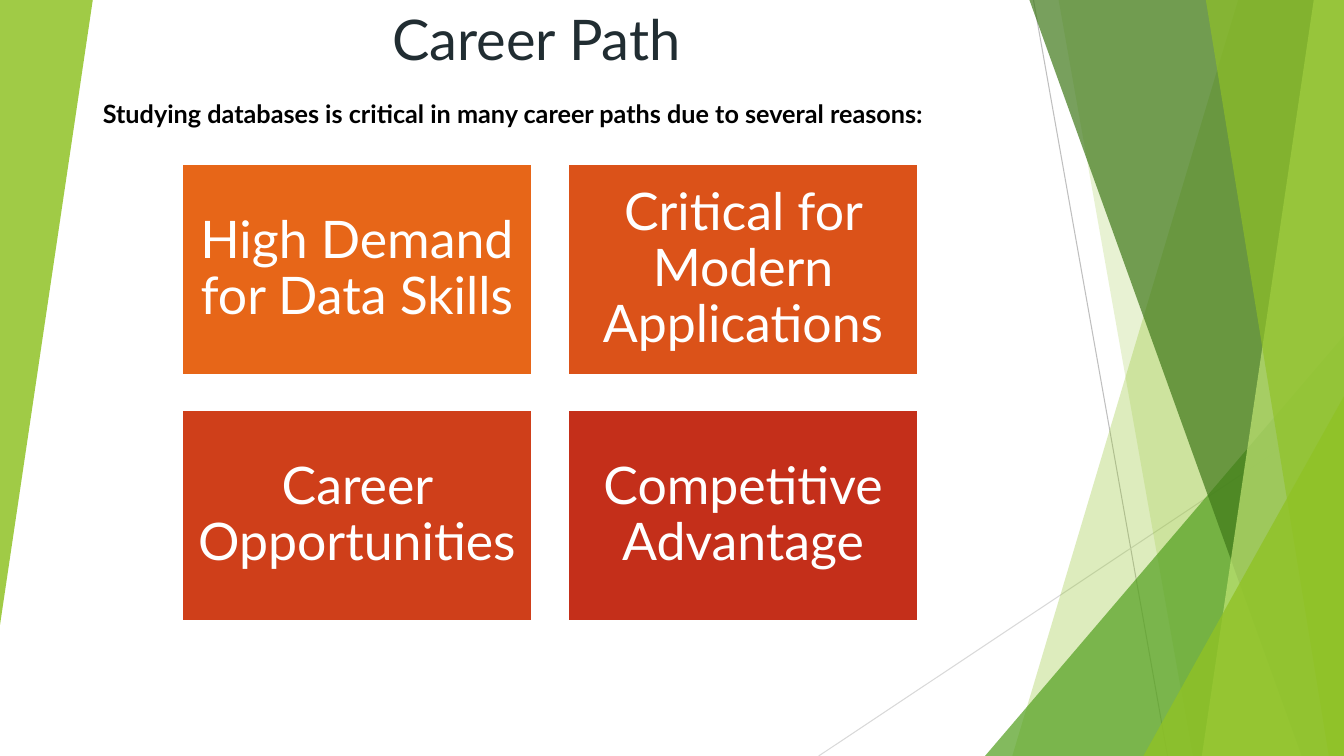
from lxml import etree
from pptx import Presentation
from pptx.dml.color import RGBColor
from pptx.enum.shapes import MSO_CONNECTOR, MSO_SHAPE
from pptx.enum.text import MSO_ANCHOR, MSO_AUTO_SIZE, PP_ALIGN
from pptx.oxml.ns import qn
from pptx.util import Inches, Pt

LEFT, CENTER = PP_ALIGN.LEFT, PP_ALIGN.CENTER
TOP, MIDDLE, BOTTOM = MSO_ANCHOR.TOP, MSO_ANCHOR.MIDDLE, MSO_ANCHOR.BOTTOM
TRIANGLE, RECTANGLE = MSO_SHAPE.ISOSCELES_TRIANGLE, MSO_SHAPE.RECTANGLE

WIDTH, HEIGHT = 13.33, 7.5
FONT = "Lato"
COLORS = {
    "lime": "90C226",
    "green": "54A021",
    "forest": "3F7819",
    "pale": "C0E474",
    "line_dark": "BFBFBF",
    "line_light": "D9D9D9",
    "title": "212D32",
    "black": "000000",
    "white": "FFFFFF",
}

presentation = Presentation()
presentation.slide_width = Inches(WIDTH)
presentation.slide_height = Inches(HEIGHT)
slide = presentation.slides.add_slide(presentation.slide_layouts[0])


def paint(shape, color, opacity):
    shape.shadow.inherit = False
    shape.line.fill.background()
    shape.fill.solid()
    shape.fill.fore_color.rgb = RGBColor.from_string(COLORS[color])
    solid_color = shape.fill._xPr.find(qn("a:solidFill"))[0]
    etree.SubElement(solid_color, qn("a:alpha"), val=str(opacity * 1000))


def write(shape, text, size, color, alignment, anchor, bold=False):
    frame = shape.text_frame
    frame.text = text
    frame.word_wrap = True
    frame.auto_size = MSO_AUTO_SIZE.NONE
    frame.vertical_anchor = anchor
    paragraph = frame.paragraphs[0]
    paragraph.alignment = alignment
    paragraph.space_before = Pt(0)
    font = paragraph.runs[0].font
    font.name, font.size, font.bold = FONT, Pt(size), bold
    font.color.rgb = RGBColor.from_string(COLORS[color])
    return frame


rays = [
    (10.25, 0, 11.58, HEIGHT, "line_dark"),
    (WIDTH, 4.03, 8.12, HEIGHT, "line_light"),
]
for start_x, start_y, end_x, end_y, color in rays:
    ray = slide.shapes.add_connector(
        MSO_CONNECTOR.STRAIGHT,
        Inches(start_x), Inches(start_y), Inches(end_x), Inches(end_y),
    )
    ray.line.color.rgb = RGBColor.from_string(COLORS[color])
    ray.line.width = Pt(0.75)
    etree.SubElement(ray._element.spPr, qn("a:effectLst"))

facets = [
    ("band", 12.28, 10.04, "lime", 30),
    ("band", 10.5, 11.83, "lime", 20),
    ("triangle", 9.77, 3.33, "green", 72),
    ("band", 10.21, 12.91, "forest", 70),
    ("band", 13.03, 11.92, "pale", 70),
    ("band", 11.96, 13.18, "lime", 65),
    ("triangle", 11.34, 3.93, "lime", 80),
]
for kind, first, second, color, opacity in facets:
    if kind == "band":
        outline = slide.shapes.build_freeform(Inches(first), 0)
        outline.add_line_segments([
            (Inches(WIDTH), 0),
            (Inches(WIDTH), Inches(HEIGHT)),
            (Inches(second), Inches(HEIGHT)),
        ])
        facet = outline.convert_to_shape()
    else:
        facet = slide.shapes.add_shape(
            TRIANGLE, Inches(first), Inches(second),
            Inches(WIDTH - first), Inches(HEIGHT - second),
        )
        facet.adjustments[0] = 1
    paint(facet, color, opacity)

left_wedge = slide.shapes.add_shape(TRIANGLE, 0, 0, Inches(0.92), Inches(6.2))
left_wedge.adjustments[0] = 1
left_wedge.rotation = 180
paint(left_wedge, "lime", 85)

title = slide.shapes.title
title.left, title.top = Inches(1.36), Inches(0.1)
title.width, title.height = Inches(7.92), Inches(0.66)
write(title, "Career Path", 40, "title", CENTER, BOTTOM)

introduction = slide.placeholders[1]
introduction.left, introduction.top = Inches(0.92), Inches(0.93)
introduction.width, introduction.height = Inches(9.69), Inches(0.4)
write(
    introduction,
    "Studying databases is critical in many career paths due to several reasons:",
    18, "black", LEFT, TOP, bold=True,
)

reasons = [
    ("High Demand for Data Skills", "E76618"),
    ("Critical for Modern Applications", "DB5219"),
    ("Career Opportunities", "CF3F1A"),
    ("Competitive Advantage", "C42F1A"),
]
CARD_WIDTH, CARD_HEIGHT, GAP = 3.48, 2.09, 0.35
for index, (reason, color) in enumerate(reasons):
    row, column = divmod(index, 2)
    card = slide.shapes.add_shape(
        RECTANGLE,
        Inches(1.8 + column * (CARD_WIDTH + GAP)),
        Inches(1.63 + row * (CARD_HEIGHT + GAP)),
        Inches(CARD_WIDTH), Inches(CARD_HEIGHT),
    )
    card.shadow.inherit = False
    card.fill.solid()
    card.fill.fore_color.rgb = RGBColor.from_string(color)
    card.line.color.rgb = RGBColor.from_string(COLORS["white"])
    card.line.width = Pt(1.5)
    frame = write(card, reason, 37, "white", CENTER, MIDDLE)
    frame.margin_left = frame.margin_right = Inches(0.15)
    frame.margin_top = frame.margin_bottom = Inches(0.15)
    frame.paragraphs[0].line_spacing = 0.9

presentation.save("out.pptx")
